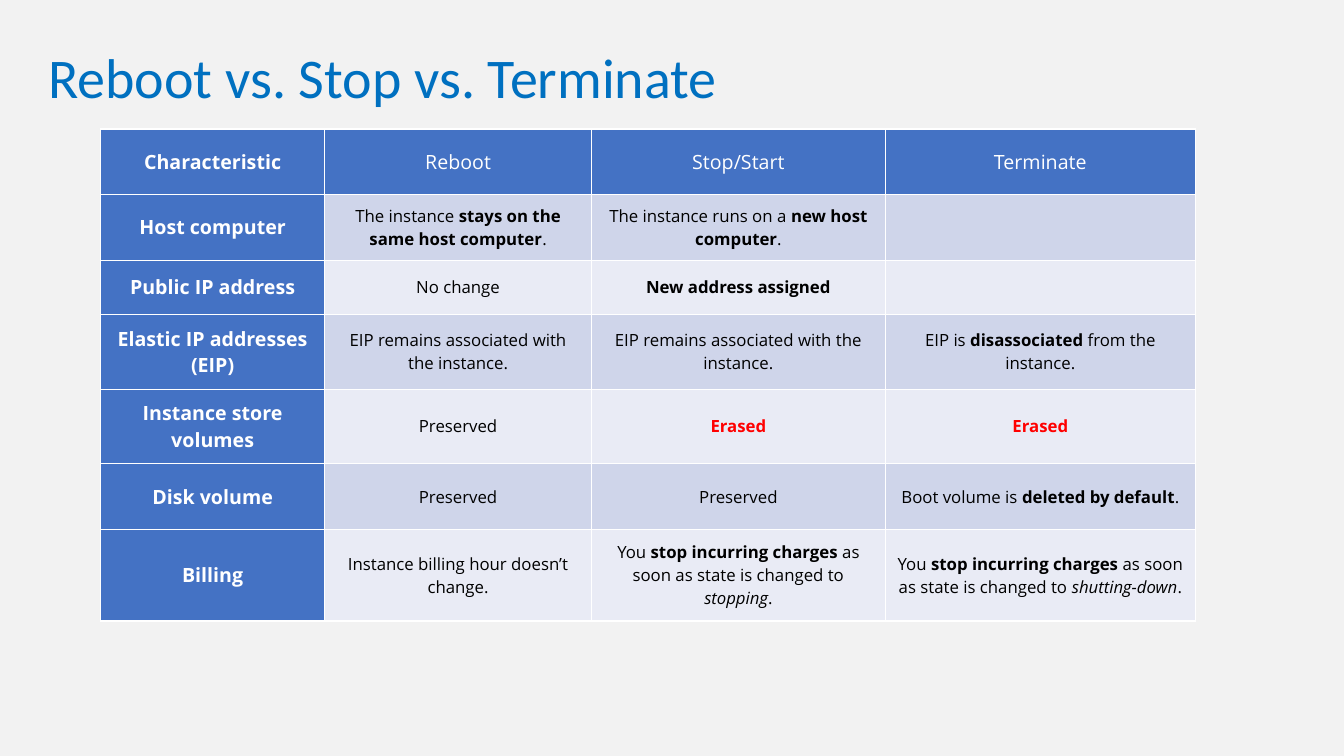
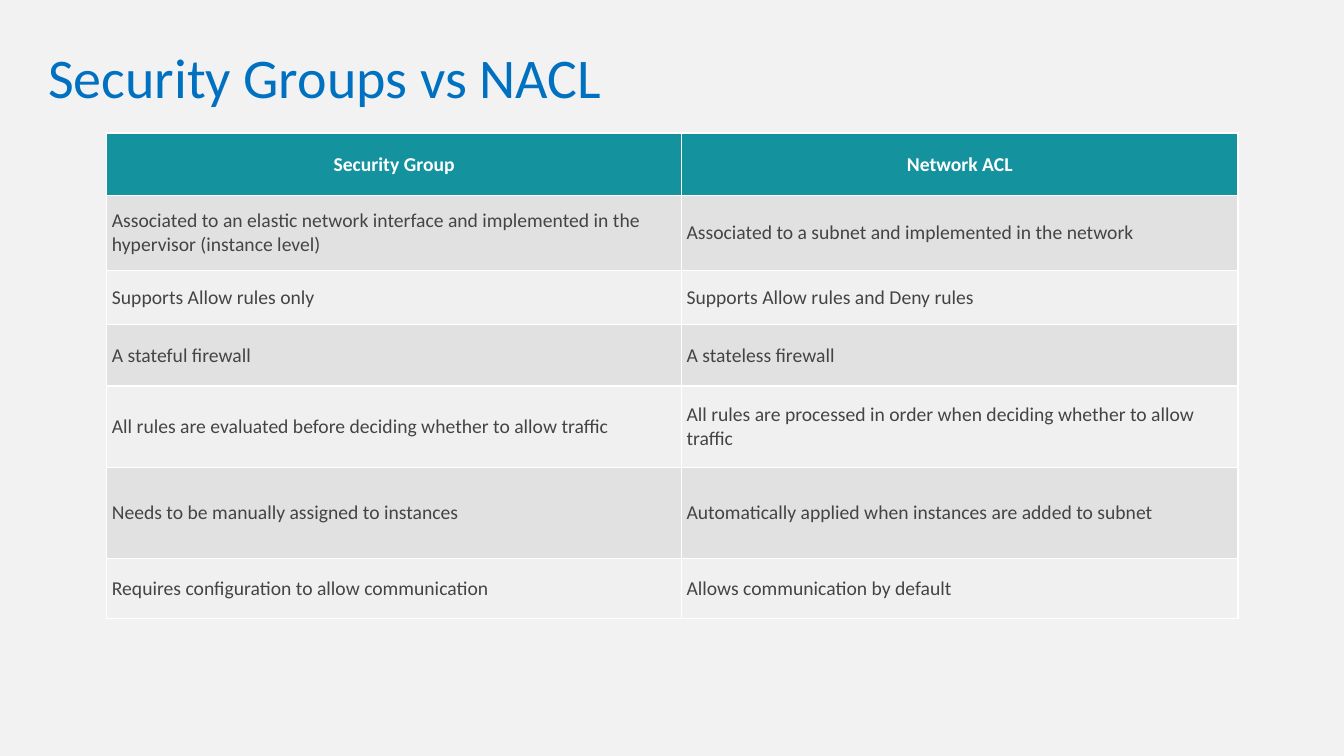
"""Build two comparison-table slides that share one title style and one table renderer."""
from dataclasses import dataclass

from pptx import Presentation
from pptx import util as u
from pptx.dml import color
from pptx.enum import text
from pptx.oxml import parse_xml
from pptx.oxml import ns

SLIDE_WIDTH, SLIDE_HEIGHT = u.Inches(13.33), u.Inches(7.5)
BACKGROUND, TITLE_COLOUR = "F2F2F2", "0070C0"
WHITE, BLACK, RED = "FFFFFF", "000000", "FF0000"
TITLE_AREA = (2.85, 4.13, 92.2, 13.07)
BORDER_POINTS = 1
CENTRE, LEFT = text.PP_ALIGN.CENTER, text.PP_ALIGN.LEFT


@dataclass(frozen=True)
class Span:
    """A stretch of text with its emphasis and an optional colour."""
    words: str
    bold: bool = False
    italic: bool = False
    colour: str = ""


@dataclass(frozen=True)
class CellStyle:
    """The look of one kind of table cell."""
    fills: tuple[str, ...]
    font: str
    size: int
    colour: str
    bold: bool = False
    align: text.PP_ALIGN = CENTRE
    inset: float = 0.1


@dataclass(frozen=True)
class Comparison:
    """A titled table, placed in percentages of the slide's width and height."""
    title: str
    left: float
    top: float
    columns: tuple[float, ...]
    rows: tuple[float, ...]
    header: CellStyle
    body: CellStyle
    label: CellStyle
    cells: tuple


def across(percent: float) -> int:
    """Turn a percentage of the slide's width into a length."""
    return round(SLIDE_WIDTH * percent / 100)


def down(percent: float) -> int:
    """Turn a percentage of the slide's height into a length."""
    return round(SLIDE_HEIGHT * percent / 100)


def rgb(value: str) -> color.RGBColor:
    """Turn a hex string into a colour."""
    return color.RGBColor.from_string(value)


def add_span(para, words: str, colour: str, **formats) -> None:
    """Add a run and set its font attributes."""
    run = para.add_run()
    run.text = words
    run.font.color.rgb = rgb(colour)
    for name, value in formats.items():
        setattr(run.font, name, value)


def add_title(page, words: str) -> None:
    """Write the slide title in the shared style."""
    left, top, width, height = TITLE_AREA
    frame = page.shapes.add_textbox(across(left), down(top), across(width), down(height)).text_frame
    frame.word_wrap = True
    frame.vertical_anchor = text.MSO_ANCHOR.MIDDLE
    para = frame.paragraphs[0]
    para.line_spacing = 0.9
    add_span(para, words, TITLE_COLOUR, name="Calibri", size=u.Pt(40))


def add_borders(cell) -> None:
    """Draw white lines on all four sides of a cell."""
    for side in ("lnL", "lnR", "lnT", "lnB"):
        cell._tc.get_or_add_tcPr().append(parse_xml(
            f'<a:{side} {ns.nsdecls("a")} w="{u.Pt(BORDER_POINTS)}">'
            f'<a:solidFill><a:srgbClr val="{WHITE}"/></a:solidFill></a:{side}>'))


def fill_cell(cell, content: str | tuple[Span, ...], style: CellStyle, row: int) -> None:
    """Style one cell and write its text."""
    add_borders(cell)
    cell.fill.solid()
    cell.fill.fore_color.rgb = rgb(style.fills[row % len(style.fills)])
    inset = u.Inches(style.inset)
    formats = {"vertical_anchor": text.MSO_ANCHOR.MIDDLE, "margin_left": inset, "margin_right": inset}
    for name, value in formats.items():
        setattr(cell, name, value)
    para = cell.text_frame.paragraphs[0]
    para.alignment = style.align
    spans = (Span(content),) if isinstance(content, str) else content
    for span in spans:
        if span.words:
            add_span(para, span.words, span.colour or style.colour, name=style.font,
                     size=u.Pt(style.size), bold=span.bold or style.bold, italic=span.italic)


def add_comparison(page, item: Comparison) -> None:
    """Draw a comparison table."""
    table = page.shapes.add_table(
        len(item.rows), len(item.columns), across(item.left), down(item.top),
        across(sum(item.columns)), down(sum(item.rows))).table
    for column, width in zip(table.columns, item.columns):
        column.width = across(width)
    for row, height in zip(table.rows, item.rows):
        row.height = down(height)
    for r, contents in enumerate(item.cells):
        for c, content in enumerate(contents):
            style = item.header if r == 0 else item.label if c == 0 else item.body
            fill_cell(table.cell(r, c), content, style, r)


BLUE_HEADER = CellStyle(("4472C4",), "Open Sans", 14, WHITE)
BLUE_LABEL = CellStyle(("4472C4",), "Open Sans", 14, WHITE, bold=True)
BLUE_BODY = CellStyle(("E9EBF5", "CFD5EA"), "Open Sans", 12, BLACK)
TEAL_HEADER = CellStyle(("14929E",), "Calibri", 14, WHITE, bold=True)
GREY_BODY = CellStyle(("F0F0F0", "E1E1E1"), "Calibri", 14, "444444", align=LEFT, inset=0.05)

EIP_KEPT = "EIP remains associated with the instance."
ERASED = (Span("Erased", bold=True, colour=RED),)
NO_CHARGES = Span("stop incurring charges", bold=True)
STATE_CHANGE = Span(" as soon as state is changed to ")

COMPARISONS = (
    Comparison(
        "Reboot vs. Stop vs. Terminate", 7.5, 17.07,
        (16.65, 19.88, 21.83, 23.1), (8.67, 8.67, 7.2, 9.87, 9.87, 8.67, 12.13),
        BLUE_HEADER, BLUE_BODY, BLUE_LABEL,
        (
            ((Span("Characteristic", bold=True),), "Reboot", "Stop/Start", "Terminate"),
            ("Host computer",
             (Span("The instance "), Span("stays on the same host computer", bold=True), Span(".")),
             (Span("The instance runs on a "), Span("new host computer", bold=True), Span(".")),
             ""),
            ("Public IP address", "No change", (Span("New address assigned", bold=True),), ""),
            ("Elastic IP addresses (EIP)", EIP_KEPT, EIP_KEPT,
             (Span("EIP is "), Span("disassociated", bold=True), Span(" from the instance."))),
            ("Instance store volumes", "Preserved", ERASED, ERASED),
            ("Disk volume", "Preserved", "Preserved",
             (Span("Boot volume is "), Span("deleted by default", bold=True), Span("."))),
            ("Billing", "Instance billing hour doesn’t change.",
             (Span("You "), NO_CHARGES, STATE_CHANGE, Span("stopping", italic=True), Span(".")),
             (Span("You "), NO_CHARGES, STATE_CHANGE, Span("shutting-down", italic=True), Span("."))),
        )),
    Comparison(
        "Security Groups vs NACL", 7.95, 17.6,
        (42.76, 41.41), (8.27, 9.87, 7.2, 8.13, 10.8, 12, 8),
        TEAL_HEADER, GREY_BODY, GREY_BODY,
        (
            ("Security Group", "Network ACL"),
            ("Associated to an elastic network interface and implemented in the hypervisor (instance level)",
             "Associated to a subnet and implemented in the network"),
            ("Supports Allow rules only", "Supports Allow rules and Deny rules"),
            ("A stateful firewall", "A stateless firewall"),
            ("All rules are evaluated before deciding whether to allow traffic",
             "All rules are processed in order when deciding whether to allow traffic"),
            ("Needs to be manually assigned to instances",
             "Automatically applied when instances are added to subnet"),
            ("Requires configuration to allow communication", "Allows communication by default"),
        )),
)


def main() -> None:
    """Build and save the deck."""
    deck = Presentation()
    deck.slide_width, deck.slide_height = SLIDE_WIDTH, SLIDE_HEIGHT
    for item in COMPARISONS:
        page = deck.slides.add_slide(deck.slide_layouts[6])
        page.background.fill.solid()
        page.background.fill.fore_color.rgb = rgb(BACKGROUND)
        add_title(page, item.title)
        add_comparison(page, item)
    deck.save("out.pptx")


if __name__ == "__main__":
    main()
